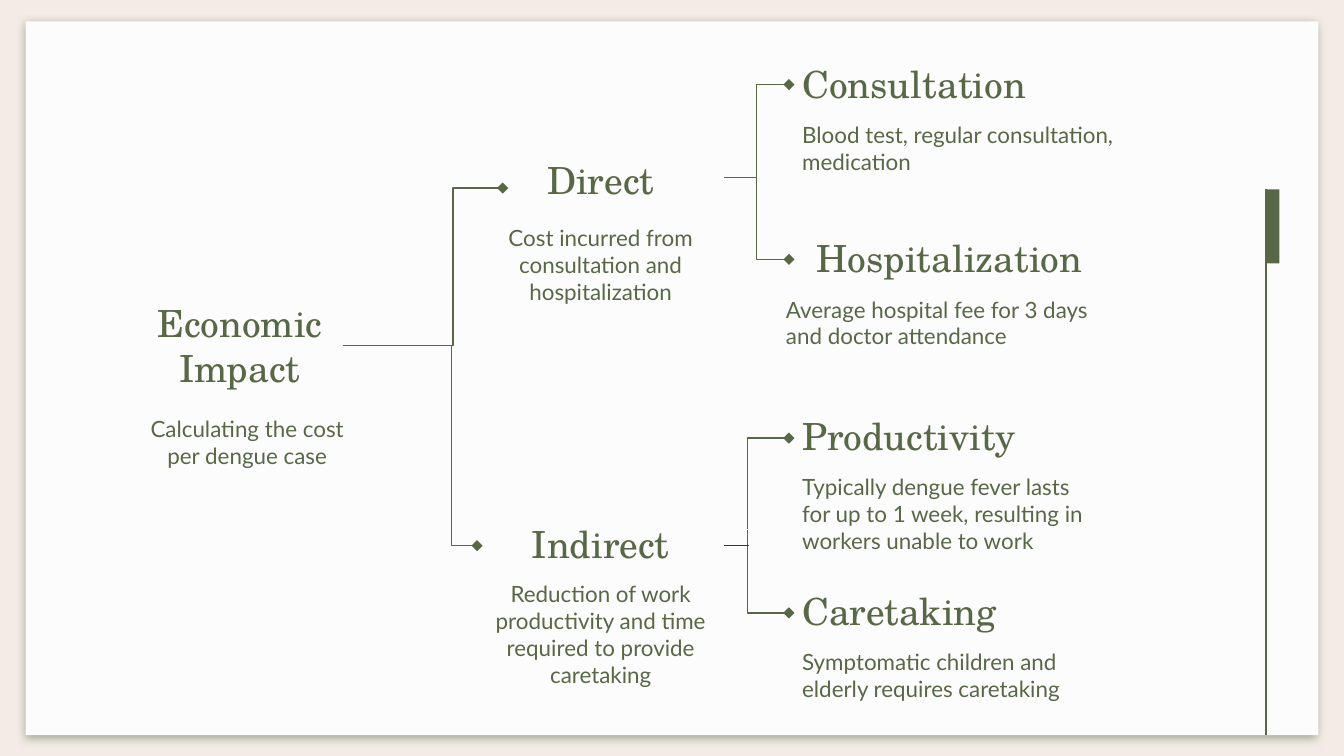
from lxml.etree import SubElement
from pptx import Presentation
from pptx.dml.color import RGBColor
from pptx.enum.shapes import MSO_CONNECTOR, MSO_SHAPE
from pptx.enum.text import MSO_ANCHOR, PP_ALIGN
from pptx.oxml.ns import qn
from pptx.util import Inches, Pt

GREEN = "586847"
DARK_GREEN = "303A24"
PAPER = "FCFCFC"
BACKGROUND = "F3ECE6"

SLIDE_WIDTH = 10
SLIDE_HEIGHT = SLIDE_WIDTH * 9 / 16

TOP, MIDDLE, BOTTOM = MSO_ANCHOR.TOP, MSO_ANCHOR.MIDDLE, MSO_ANCHOR.BOTTOM
LEFT, CENTER = PP_ALIGN.LEFT, PP_ALIGN.CENTER
LEAF_X = 5.87
BRANCH_X, BRANCH_WIDTH = 3.55, 1.84
BRANCH_END = BRANCH_X + BRANCH_WIDTH

# Heading, box, alignment, anchor
HEADINGS = [
    ("Economic Impact", (1.02, 2.34, 1.53, 0.46), CENTER, MIDDLE),
    ("Direct", (BRANCH_X, 1.07, BRANCH_WIDTH, 0.5), CENTER, TOP),
    ("Indirect", (BRANCH_X, 3.81, BRANCH_WIDTH, 0.5), CENTER, BOTTOM),
    ("Consultation", (LEAF_X, 0.39, 1.92, 0.5), LEFT, BOTTOM),
    ("Hospitalization", (LEAF_X, 1.68, 2.39, 0.5), CENTER, BOTTOM),
    ("Productivity", (LEAF_X, 3.01, 1.84, 0.5), LEFT, BOTTOM),
    ("Caretaking", (LEAF_X, 4.31, 1.84, 0.5), LEFT, BOTTOM),
]

# Description, box, alignment
DESCRIPTIONS = [
    ("Calculating the cost per dengue case", (0.98, 2.99, 1.72, 0.55), CENTER),
    ("Cost incurred from consultation and hospitalization",
     (BRANCH_X, 1.57, BRANCH_WIDTH, 0.78), CENTER),
    ("Reduction of work productivity and time required to provide caretaking",
     (BRANCH_X, 4.22, BRANCH_WIDTH, 0.98), CENTER),
    ("Blood test, regular consultation, medication", (LEAF_X, 0.8, 2.61, 0.78), LEFT),
    ("Average hospital fee for 3 days and doctor attendance",
     (5.75, 2.1, 2.73, 0.75), LEFT),
    ("Typically dengue fever lasts for up to 1 week, resulting in workers unable to work",
     (LEAF_X, 3.42, 2.42, 0.59), LEFT),
    ("Symptomatic children and elderly requires caretaking",
     (LEAF_X, 4.72, 2.52, 0.59), LEFT),
]

# Start, end, position of the bend as a share of the width
BRANCHES = [
    ((2.55, 2.57), (3.74, 1.4), 0.69),
    ((2.55, 2.57), (BRANCH_X, 4.06), 0.81),
    ((BRANCH_END, 1.32), (LEAF_X, 0.63), 0.5),
    ((BRANCH_END, 1.32), (LEAF_X, 1.93), 0.5),
    ((5.56, 3.94), (LEAF_X, 3.26), 0),
    ((5.56, 3.94), (LEAF_X, 4.56), 0),
]


def color(hex_value):
    return RGBColor.from_string(hex_value)


def add_block(slide, box, fill):
    block = slide.shapes.add_shape(MSO_SHAPE.RECTANGLE, *map(Inches, box))
    block.shadow.inherit = False
    block.fill.solid()
    block.fill.fore_color.rgb = color(fill)
    block.line.fill.background()
    return block


def add_soft_shadow(block):
    effects = block.element.spPr.find(qn("a:effectLst"))
    shadow = SubElement(effects, qn("a:outerShdw"), blurRad=str(Pt(4.5)),
                        dist=str(Pt(1.5)), dir="5400000", algn="bl", rotWithShape="0")
    tint = SubElement(shadow, qn("a:srgbClr"), val=GREEN)
    SubElement(tint, qn("a:alpha"), val="50000")


def add_text(slide, text, box, alignment, anchor, font_name, size):
    text_box = slide.shapes.add_textbox(*map(Inches, box))
    frame = text_box.text_frame
    frame.word_wrap = True
    frame.vertical_anchor = anchor
    frame.margin_left = frame.margin_right = Inches(0.1)
    frame.margin_top = frame.margin_bottom = Inches(0.1)
    paragraph = frame.paragraphs[0]
    paragraph.text = text
    paragraph.alignment = alignment
    paragraph.font.name = font_name
    paragraph.font.size = Pt(size)
    paragraph.font.color.rgb = color(GREEN)
    return text_box


def add_line(slide, start, end, line_color=GREEN, kind=MSO_CONNECTOR.STRAIGHT):
    line = slide.shapes.add_connector(kind, *map(Inches, start + end))
    line.line.color.rgb = color(line_color)
    line.line.width = Pt(0.75)
    SubElement(line.element.spPr, qn("a:effectLst"))
    return line


def add_branch(slide, start, end, bend):
    branch = add_line(slide, start, end, kind=MSO_CONNECTOR.ELBOW)
    properties = branch.element.spPr
    adjustments = properties.find(qn("a:prstGeom")).find(qn("a:avLst"))
    SubElement(adjustments, qn("a:gd"), name="adj1", fmla=f"val {round(bend * 100000)}")
    SubElement(properties.find(qn("a:ln")), qn("a:tailEnd"), type="diamond")


def main():
    presentation = Presentation()
    presentation.slide_width = Inches(SLIDE_WIDTH)
    presentation.slide_height = Inches(SLIDE_HEIGHT)
    slide = presentation.slides.add_slide(presentation.slide_layouts[6])

    # Background and paper
    slide.background.fill.solid()
    slide.background.fill.fore_color.rgb = color(BACKGROUND)
    add_soft_shadow(add_block(slide, (0.19, 0.16, 9.62, 5.31), PAPER))

    # Side ornament
    add_block(slide, (9.42, 1.41, 0.1, 0.55), GREEN)
    add_line(slide, (9.42, 1.41), (9.42, 5.47))

    # Tree texts
    headings = {}
    for text, box, alignment, anchor in HEADINGS:
        headings[text] = add_text(slide, text, box, alignment, anchor,
                                  "TeX Gyre Schola", 20)
    for text, box, alignment in DESCRIPTIONS:
        add_text(slide, text, box, alignment, TOP, "Lato", 12)

    # Tree branches
    for start, end, bend in BRANCHES:
        add_branch(slide, start, end, bend)
    indirect_stem = add_line(slide, (BRANCH_END, 4.06), (5.57, 4.06), DARK_GREEN)
    indirect_stem.begin_connect(headings["Indirect"], 3)

    presentation.save("out.pptx")


if __name__ == "__main__":
    main()
